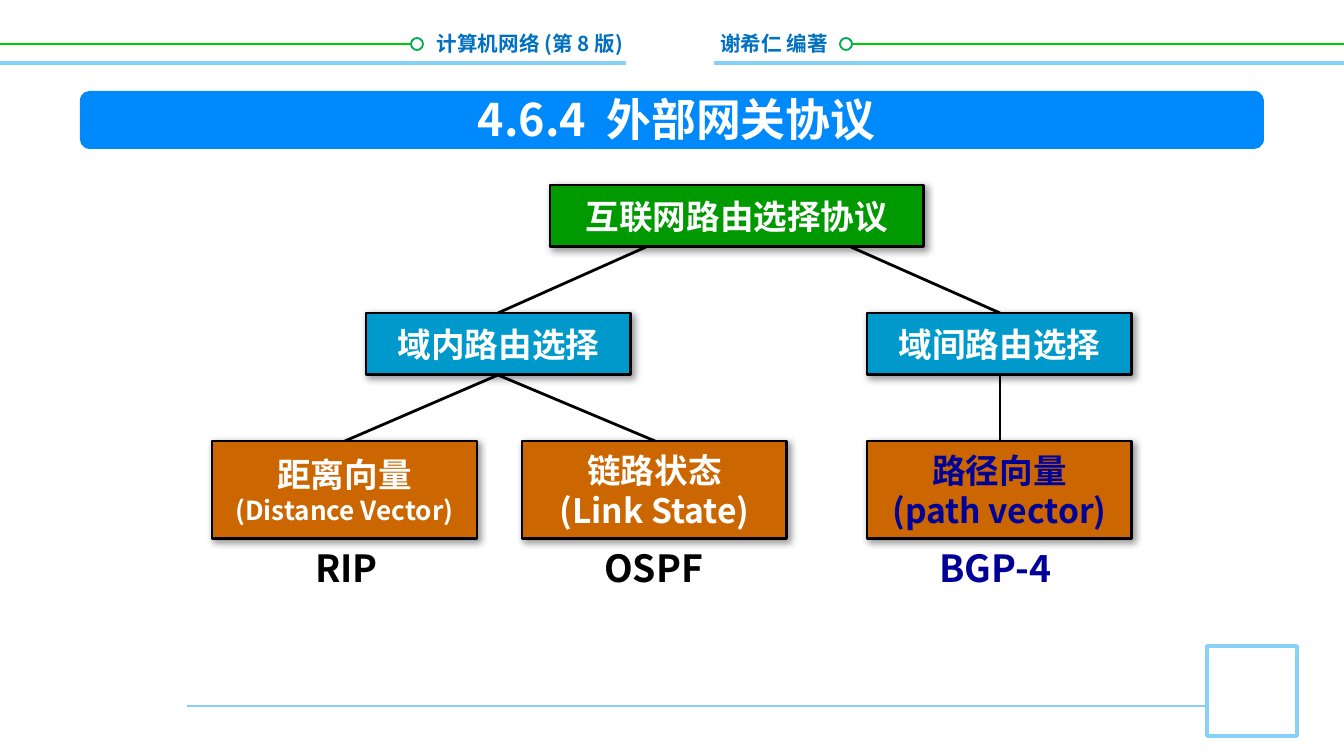
from dataclasses import dataclass

from lxml import etree
from pptx import Presentation
from pptx.dml.color import RGBColor
from pptx.enum.shapes import MSO_CONNECTOR, MSO_SHAPE
from pptx.enum.text import MSO_ANCHOR, PP_ALIGN
from pptx.oxml.ns import qn
from pptx.util import Pt

SCALE = 9144000 / 1344
FACE = "Noto Sans CJK SC"
RECT, ROUND, OVAL = MSO_SHAPE.RECTANGLE, MSO_SHAPE.ROUNDED_RECTANGLE, MSO_SHAPE.OVAL
STRAIGHT = MSO_CONNECTOR.STRAIGHT
LEFT, CENTER, RIGHT = PP_ALIGN.LEFT, PP_ALIGN.CENTER, PP_ALIGN.RIGHT
MIDDLE = MSO_ANCHOR.MIDDLE
WHITE, BLACK, NAVY = "FFFFFF", "000000", "000099"
SKY, LIME, LEAF, BLUE = "85D1F7", "00CC00", "00B050", "0070C0"
GREEN, TEAL, RUST = "009900", "0099CC", "CC6600"


@dataclass
class Area:
    left: int
    top: int
    width: int
    height: int


@dataclass
class Line:
    start: tuple[int, int]
    end: tuple[int, int]
    color: str = BLACK
    weight: float = 1.5


@dataclass
class Text:
    words: str
    size: int
    color: str


@dataclass
class Node:
    area: Area
    fill: str
    rows: list[Text]


@dataclass
class Label:
    area: Area
    text: Text
    align: PP_ALIGN = LEFT
    wrap: bool = False


def px(value: int) -> int:
    """Turn pixels into EMU."""
    return round(value * SCALE)


def paint(code: str) -> RGBColor:
    """Turn a hex string into a colour."""
    return RGBColor.from_string(code)


def frame(area: Area) -> list[int]:
    """Give the EMU lengths of an area."""
    return [px(v) for v in (area.left, area.top, area.width, area.height)]


def draw_line(slide, line: Line) -> None:
    """Draw a straight line without shadow."""
    ends = [px(v) for v in (*line.start, *line.end)]
    item = slide.shapes.add_connector(STRAIGHT, *ends)
    item.line.color.rgb = paint(line.color)
    item.line.width = Pt(line.weight)
    etree.SubElement(item._element.spPr, qn("a:effectLst"))


def draw_shape(slide, kind: MSO_SHAPE, area: Area, fill: str,
               edge: str = "", weight: float = 1):
    """Draw a filled shape, with an outline if a colour is given."""
    shape = slide.shapes.add_shape(kind, *frame(area))
    shape.fill.solid()
    shape.fill.fore_color.rgb = paint(fill)
    if edge:
        shape.line.color.rgb = paint(edge)
        shape.line.width = Pt(weight)
    else:
        shape.line.fill.background()
    shape.shadow.inherit = False
    return shape


def write(para, text: Text, align: PP_ALIGN) -> None:
    """Fill a paragraph with bold text."""
    para.text = text.words
    para.alignment = align
    font = para.font
    font.size, font.bold = Pt(text.size), True
    font.color.rgb = paint(text.color)
    font.name = FACE
    base = para._p.pPr.find(qn("a:defRPr"))
    etree.SubElement(base, qn("a:ea"), typeface=FACE)


def cast_shadow(shape) -> None:
    """Add a soft shadow to the lower right."""
    effects = shape._element.spPr.find(qn("a:effectLst"))
    outer = etree.SubElement(effects, qn("a:outerShdw"), blurRad=str(Pt(4)),
                             dist=str(Pt(2)), dir="2700000", algn="tl", rotWithShape="0")
    tint = etree.SubElement(outer, qn("a:srgbClr"), val=BLACK)
    etree.SubElement(tint, qn("a:alpha"), val="40000")


def draw_node(slide, node: Node) -> None:
    """Draw one box of the tree."""
    shape = draw_shape(slide, RECT, node.area, node.fill, BLACK, 1.5)
    cast_shadow(shape)
    body = shape.text_frame
    body.word_wrap, body.vertical_anchor = True, MIDDLE
    for i, row in enumerate(node.rows):
        write(body.add_paragraph() if i else body.paragraphs[0], row, CENTER)


def draw_label(slide, label: Label) -> None:
    """Draw a text box of one paragraph."""
    body = slide.shapes.add_textbox(*frame(label.area)).text_frame
    body.word_wrap = label.wrap
    write(body.paragraphs[0], label.text, label.align)


def draw_header(slide) -> None:
    """Draw the page frame, the book line and the title."""
    draw_line(slide, Line((187, 706), (1207, 706), SKY))
    draw_shape(slide, RECT, Area(1207, 646, 90, 90), WHITE, SKY, 2)
    draw_line(slide, Line((0, 63), (1344, 63), SKY, 2))
    draw_shape(slide, RECT, Area(626, 19, 88, 69), WHITE)
    for start, end, dot in ((0, 417, 411), (840, 1344, 840)):
        draw_line(slide, Line((start, 44), (end, 44), LIME, 1))
        draw_shape(slide, OVAL, Area(dot, 38, 12, 12), WHITE, LEAF)
    draw_shape(slide, ROUND, Area(80, 91, 1184, 58), "0089FA")
    for label in (
        Label(Area(707, 24, 156, 39), Text("谢希仁 编著", 11, BLUE), LEFT, True),
        Label(Area(417, 24, 219, 39), Text("计算机网络 (第 8 版)", 11, BLUE), RIGHT, True),
        Label(Area(405, 85, 543, 67), Text("4.6.4  外部网关协议", 24, WHITE), CENTER),
    ):
        draw_label(slide, label)


def draw_tree(slide) -> None:
    """Draw the tree of routing protocols."""
    draw_node(slide, Node(Area(550, 185, 374, 62), GREEN,
                          [Text("互联网路由选择协议", 18, WHITE)]))
    for left, words in ((366, "域内路由选择"), (867, "域间路由选择")):
        draw_node(slide, Node(Area(left, 313, 265, 62), TEAL, [Text(words, 18, WHITE)]))
    for left, name, gloss, size, ink in (
        (212, "距离向量", "(Distance Vector)", 14, WHITE),
        (522, "链路状态", "(Link State)", 18, WHITE),
        (867, "路径向量", "(path vector)", 18, NAVY),
    ):
        rows = [Text(name, 18, ink), Text(gloss, size, ink)]
        draw_node(slide, Node(Area(left, 441, 265, 98), RUST, rows))
    for top, start, end in ((247, 646, 498), (247, 851, 1000), (375, 498, 345),
                            (375, 498, 655), (375, 1000, 1000)):
        draw_line(slide, Line((start, top), (end, top + 66)))
    for left, width, words, ink in ((302, 91, "RIP", BLACK), (591, 126, "OSPF", BLACK),
                                    (926, 146, "BGP-4", NAVY)):
        draw_label(slide, Label(Area(left, 539, width, 59), Text(words, 20, ink)))


def main() -> None:
    """Build and save the slide."""
    deck = Presentation()
    deck.slide_width, deck.slide_height = px(1344), px(756)
    slide = deck.slides.add_slide(deck.slide_layouts[6])
    draw_header(slide)
    draw_tree(slide)
    deck.save("out.pptx")


if __name__ == "__main__":
    main()
